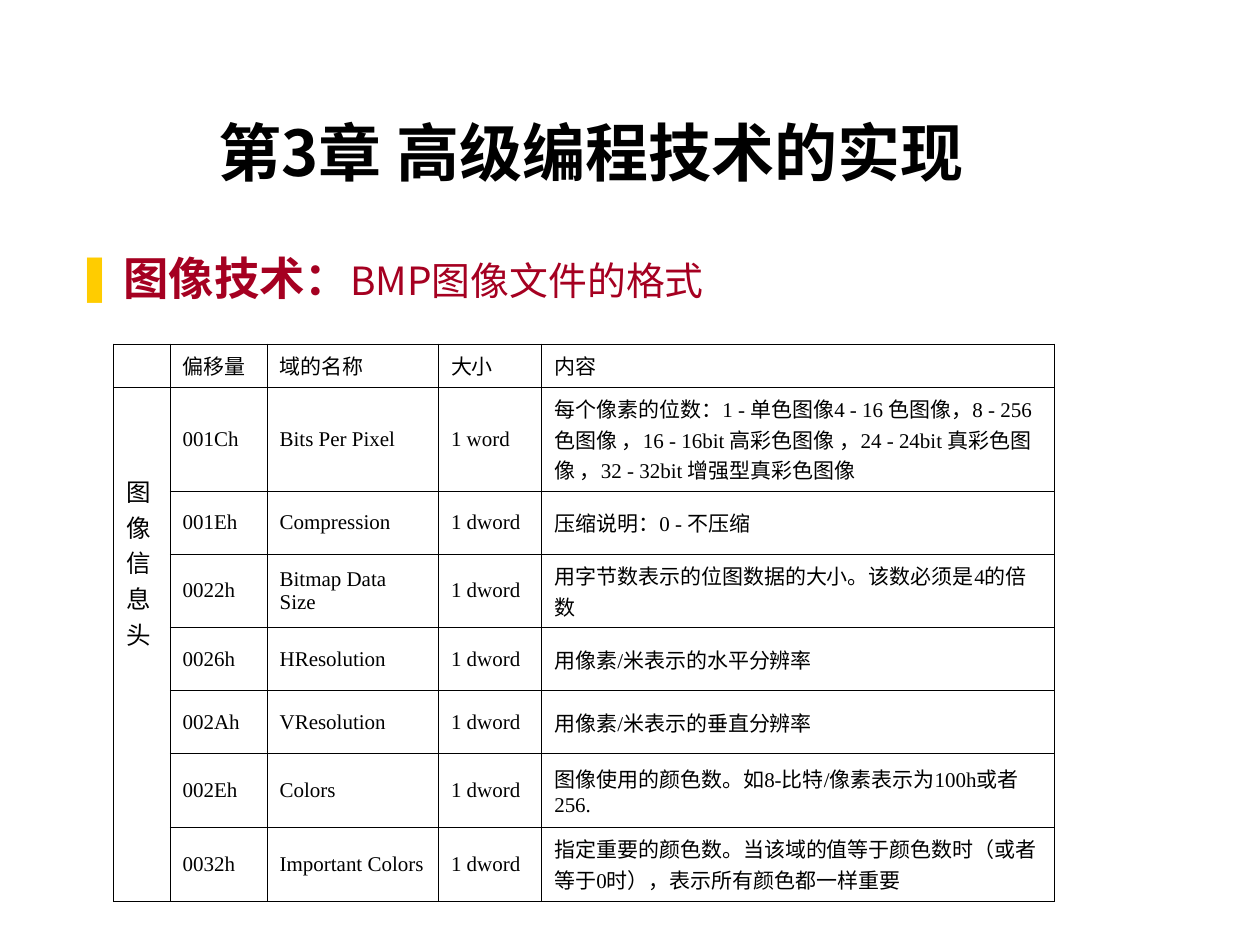
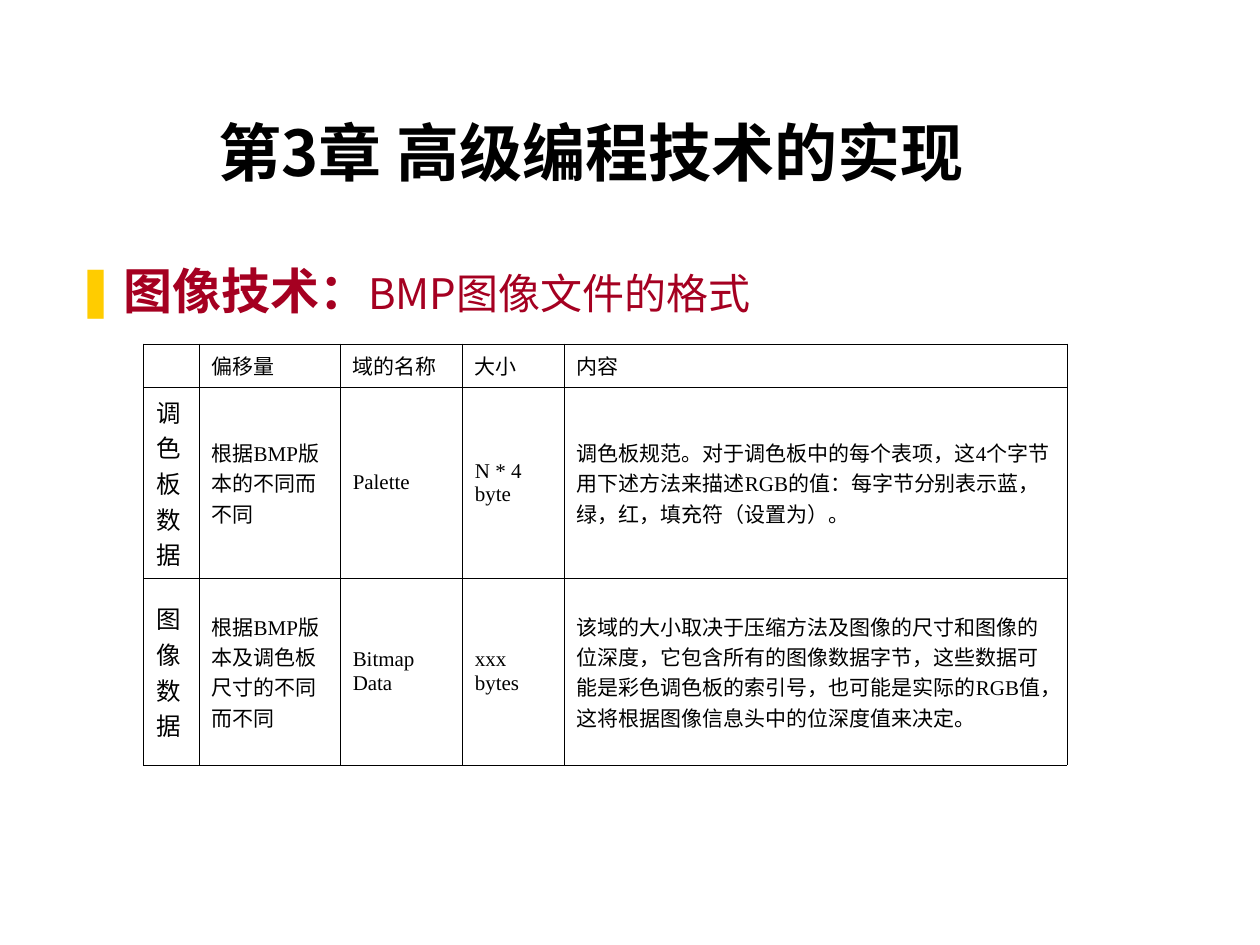
import pptx
import pptx.util
import pptx.dml.color
import pptx.enum.lang
import pptx.enum.text
import pptx.oxml
import pptx.oxml.ns
from pptx.util import Inches, Pt

# Shared look
BLACK, RED, GOLD = "000000", "A50021", "FFCC00"
SANS, SERIF = "Noto Sans CJK SC", "Times New Roman"
CHAPTER = "第3章 高级编程技术的实现"
HEADING = ("图像技术：", "BMP图像文件的格式")
HEADER = ["", "偏移量", "域的名称", "大小", "内容"]
NS = pptx.oxml.ns.nsdecls("a")
ANCHOR = pptx.enum.text.MSO_ANCHOR
ALIGN = pptx.enum.text.PP_ALIGN

INFO_ROWS = [
    ["图像信息头", "001Ch", "Bits Per Pixel", "1 word",
     "每个像素的位数：1 - 单色图像4 - 16 色图像，8 - 256 色图像 ，"
     "16 - 16bit 高彩色图像 ，24 - 24bit 真彩色图像 ，32 - 32bit 增强型真彩色图像"],
    ["", "001Eh", "Compression", "1 dword", "压缩说明：0 - 不压缩"],
    ["", "0022h", "Bitmap Data Size", "1 dword",
     "用字节数表示的位图数据的大小。该数必须是4的倍数"],
    ["", "0026h", "HResolution", "1 dword", "用像素/米表示的水平分辨率"],
    ["", "002Ah", "VResolution", "1 dword", "用像素/米表示的垂直分辨率"],
    ["", "002Eh", "Colors", "1 dword",
     "图像使用的颜色数。如8-比特/像素表示为100h或者 256."],
    ["", "0032h", "Important Colors", "1 dword",
     "指定重要的颜色数。当该域的值等于颜色数时（或者等于0时），表示所有颜色都一样重要"],
]
DATA_ROWS = [
    ["调色板数据", "根据BMP版本的不同而不同", "Palette", "N * 4 byte",
     "调色板规范。对于调色板中的每个表项，这4个字节用下述方法来描述RGB的值："
     "每字节分别表示蓝，绿，红，填充符（设置为）。"],
    ["图像数据", "根据BMP版本及调色板尺寸的不同而不同", "Bitmap Data", "xxx bytes",
     "该域的大小取决于压缩方法及图像的尺寸和图像的位深度，它包含所有的图像数据字节，"
     "这些数据可能是彩色调色板的索引号，也可能是实际的RGB值，"
     "这将根据图像信息头中的位深度值来决定。"],
]


def rgb(color):
    return pptx.dml.color.RGBColor.from_string(color)


def format_run(r, size, font, color, bold=False):
    r.font.size, r.font.name, r.font.bold = Pt(size), font, bold
    r.font.color.rgb = rgb(color)
    r.font.language_id = pptx.enum.lang.MSO_LANGUAGE_ID.SIMPLIFIED_CHINESE
    latin = r.font._element.find(pptx.oxml.ns.qn("a:latin"))
    latin.addnext(pptx.oxml.parse_xml(f'<a:ea {NS} typeface="{SANS}"/>'))


def place(sp, box, anchor):
    sp.left, sp.top, sp.width, sp.height = [Inches(v) for v in box]
    tf = sp.text_frame
    tf.word_wrap, tf.auto_size = True, pptx.enum.text.MSO_AUTO_SIZE.NONE
    tf.vertical_anchor = anchor
    return tf


def add_title(s):
    tf = place(s.shapes.title, (0.44, 0.25, 8.5, 1.25), ANCHOR.BOTTOM)
    tf.margin_bottom = 0
    tf.text = CHAPTER
    p = tf.paragraphs[0]
    p.alignment = ALIGN.CENTER
    format_run(p.runs[0], 36, SANS, BLACK, True)


def add_heading(s, box, sizes, spacing):
    tf = place(s.placeholders[1], box, ANCHOR.TOP)
    tf.margin_top = Inches(0.01)
    p = tf.paragraphs[0]
    # Gold bar bullet with a hanging indent
    pPr = p._p.get_or_add_pPr()
    pPr.set("marL", str(Inches(0.38)))
    pPr.set("indent", str(-Inches(0.38)))
    for xml in (f'<a:buClr {NS}><a:srgbClr val="{GOLD}"/></a:buClr>',
                f'<a:buChar {NS} char="❚"/>'):
        pPr.append(pptx.oxml.parse_xml(xml))
    p.alignment, p.line_spacing, p.space_before = ALIGN.JUSTIFY, spacing, Pt(0)
    for text, size, font, bold in zip(HEADING, sizes, (SERIF, SANS), (True, False)):
        r = p.add_run()
        r.text = text
        format_run(r, size, font, RED, bold)


def format_cell(cell, text, size):
    tcPr = cell._tc.get_or_add_tcPr()
    for side in "LRTB":
        tcPr.append(pptx.oxml.parse_xml(
            f'<a:ln{side} {NS} w="{Pt(0.34)}"><a:solidFill>'
            f'<a:srgbClr val="{BLACK}"/></a:solidFill></a:ln{side}>'))
    cell.fill.background()
    cell.vertical_anchor = ANCHOR.MIDDLE
    cell.text = text
    p = cell.text_frame.paragraphs[0]
    for r in p.runs:
        format_run(r, size, SERIF, BLACK)
    if not text:
        # Keeps an empty cell from stretching its row
        p._p.get_or_add_endParaRPr().set("sz", str(size * 100))


def add_field_table(s, left, top, widths, heights, rows):
    rows = [HEADER] + rows
    tbl = s.shapes.add_table(len(rows), len(widths), Inches(left), Inches(top),
                             Inches(sum(widths)), Inches(sum(heights))).table
    tbl.first_row = tbl.horz_banding = False
    for column, width in zip(tbl.columns, widths):
        column.width = Inches(width)
    for i, (row, height) in enumerate(zip(rows, heights)):
        tbl.rows[i].height = Inches(height)
        for j, text in enumerate(row):
            format_cell(tbl.cell(i, j), text, 14 if text and j == 0 else 12)
    return tbl


def add_field_slide(prs, heading_box, sizes, spacing, *table):
    s = prs.slides.add_slide(prs.slide_layouts[1])
    add_title(s)
    add_heading(s, heading_box, sizes, spacing)
    return add_field_table(s, *table)


def main():
    prs = pptx.Presentation()
    prs.slide_width, prs.slide_height = Inches(10), Inches(7.5)

    # Image information header
    tbl = add_field_slide(prs, (0.5, 2.06, 5.42, 0.52), (25.9, 22.2), 0.8,
                          0.9, 2.73, [0.45, 0.77, 1.36, 0.82, 4.07],
                          [0.3, 0.7] + [0.5] * 6, INFO_ROWS)
    group = tbl.cell(1, 0)
    group.merge(tbl.cell(len(INFO_ROWS), 0))
    group.vertical_anchor, group.margin_top = ANCHOR.TOP, Inches(0.68)

    # Palette and bitmap data
    add_field_slide(prs, (0.5, 2.06, 5.83, 0.6), (28, 24), 1.0,
                    1.14, 2.73, [0.44, 1.12, 0.97, 0.81, 3.99],
                    [0.3, 1.48, 1.48], DATA_ROWS)
    prs.save("out.pptx")


if __name__ == "__main__":
    main()
